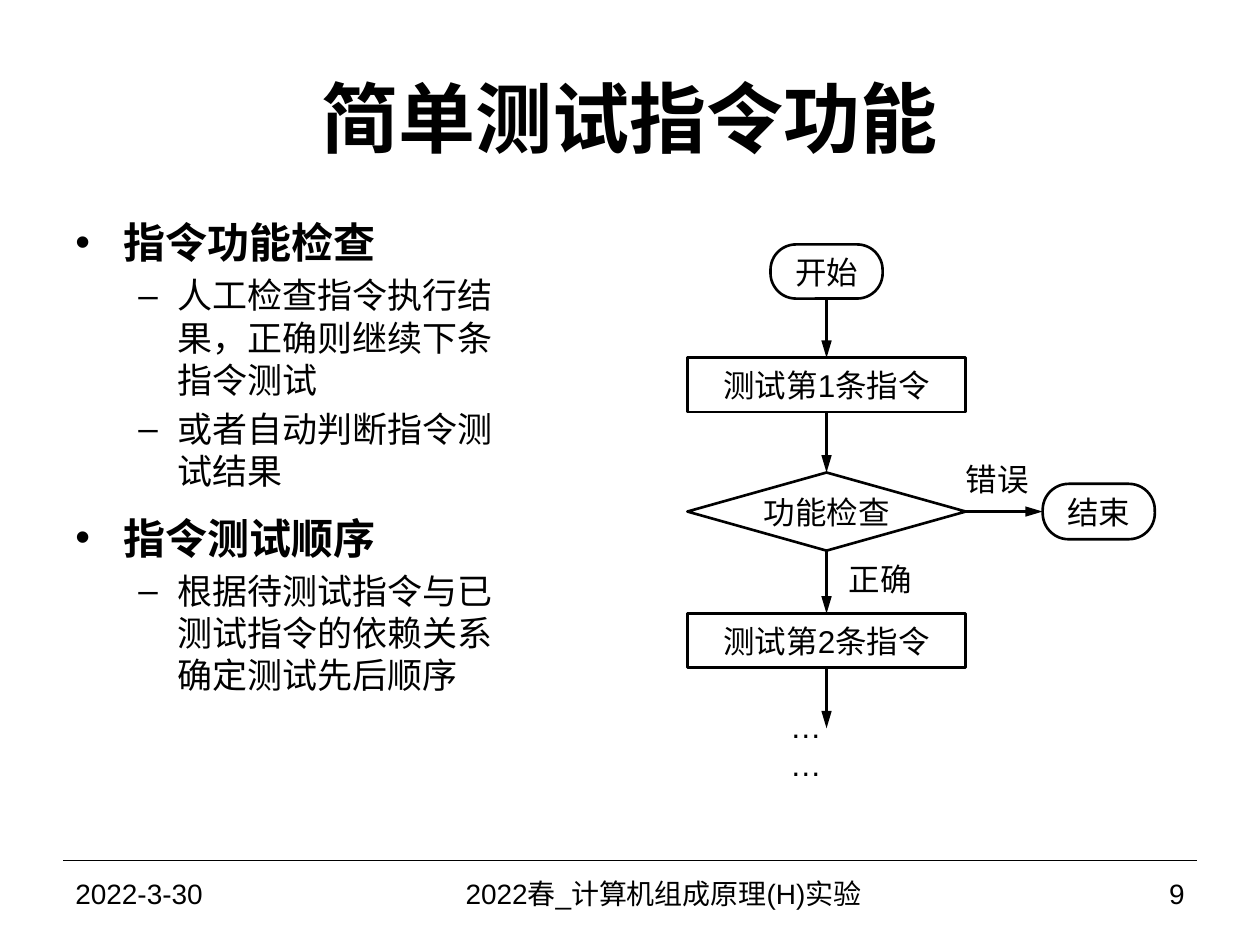
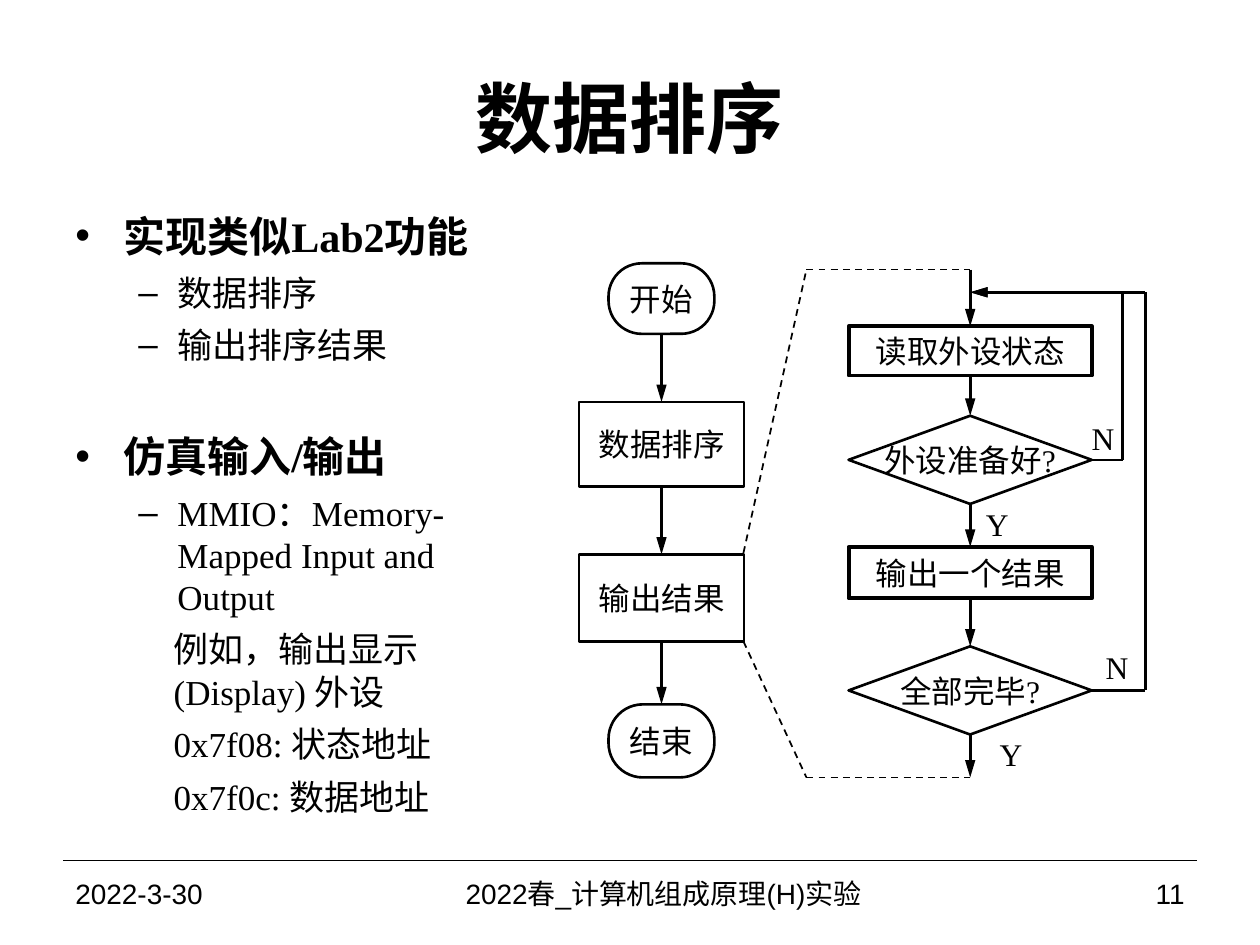
"""Builds two lecture slides that pair bullet notes with flowcharts."""
import itertools

import lxml.etree
import pptx
import pptx.dml.color
import pptx.enum.dml
import pptx.enum.shapes
import pptx.enum.text
import pptx.oxml.ns
import pptx.util

Inches, Pt = pptx.util.Inches, pptx.util.Pt
Align = pptx.enum.text.PP_ALIGN
Preset = pptx.enum.shapes.MSO_SHAPE
qn = pptx.oxml.ns.qn

COLORS = {"ink": "000000", "paper": "FFFFFF"}
HEAD_FONT, BODY_FONT = "Arial", "Times New Roman"
TOP, LEFT, BOTTOM, RIGHT = range(4)
DATE = "2022-3-30"
COURSE = "2022春_计算机组成原理(H)实验 "

NOTE_STYLES = {
    "head": {"size": 24, "bold": True, "margin": 0.38, "indent": -0.38, "bullet": "•", "level": 0},
    "item": {"size": 20, "bold": False, "margin": 0.81, "indent": -0.31, "bullet": "–", "level": 1},
    "plain": {"size": 20, "bold": False, "margin": 0.78, "indent": 0, "bullet": None, "level": 1},
}
NODE_STYLES = {
    "terminal": (Preset.ROUNDED_RECTANGLE, 1.5),
    "step": (Preset.RECTANGLE, 1.5),
    "bold step": (Preset.RECTANGLE, 2.25),
    "decision": (Preset.DIAMOND, 1.5),
}

TEST_X, SORT_X, OUTPUT_X = 6.56, 5.25, 7.7

# Nodes: kind, centre x, top, width, height, text. Notes: style, space before, text.
SLIDES = [
    {
        "title": "简单测试指令功能",
        "number": "9",
        "notes_at": (0.5, 1.67, 3.71, 5.03),
        "notes": [
            ("head", 5, "指令功能检查"),
            ("item", 4, "人工检查指令执行结果，正确则继续下条指令测试"),
            ("item", 4, "或者自动判断指令测试结果"),
            ("head", 12, "指令测试顺序"),
            ("item", 4, "根据待测试指令与已测试指令的依赖关系确定测试先后顺序"),
        ],
        "chart_font": HEAD_FONT,
        "nodes": {
            "start": ("terminal", TEST_X, 1.94, 0.89, 0.43, "开始"),
            "first": ("step", TEST_X, 2.84, 2.21, 0.43, "测试第1条指令"),
            "check": ("decision", TEST_X, 3.75, 2.21, 0.62, "功能检查"),
            "second": ("step", TEST_X, 4.87, 2.21, 0.43, "测试第2条指令"),
            "end": ("terminal", 8.72, 3.84, 0.89, 0.44, "结束"),
        },
        "labels": [
            (7.61, 3.59, 0.61, 0.43, "错误", Align.CENTER),
            (6.68, 4.38, 0.61, 0.43, "正确", Align.CENTER),
            (6.27, 5.76, 0.51, 0.3, "… …", Align.LEFT),
        ],
        "flows": [["start", "first", "check", "second"]],
        "arrows": [
            [("check", RIGHT), ("end", LEFT)],
            [("second", BOTTOM), (TEST_X, 5.78)],
        ],
        "dashes": [],
    },
    {
        "title": "数据排序",
        "number": "11",
        "notes_at": (0.5, 1.62, 3.62, 5.03),
        "notes": [
            ("head", 6, "实现类似Lab2功能"),
            ("item", 6, "数据排序"),
            ("item", 6, "输出排序结果"),
            ("head", 37, "仿真输入/输出"),
            ("item", 6, "MMIO：Memory-Mapped Input and Output"),
            ("plain", 6, "例如，输出显示 (Display) 外设"),
            ("plain", 6, "0x7f08: 状态地址"),
            ("plain", 6, "0x7f0c: 数据地址"),
        ],
        "chart_font": BODY_FONT,
        "nodes": {
            "start": ("terminal", SORT_X, 2.09, 0.84, 0.56, "开始"),
            "sort": ("step", SORT_X, 3.19, 1.31, 0.67, "数据排序"),
            "output": ("step", SORT_X, 4.4, 1.31, 0.69, "输出结果"),
            "end": ("terminal", SORT_X, 5.59, 0.84, 0.58, "结束"),
            "read": ("bold step", OUTPUT_X, 2.59, 1.93, 0.39, "读取外设状态"),
            "ready": ("decision", OUTPUT_X, 3.3, 1.93, 0.7, "外设准备好?"),
            "write": ("bold step", OUTPUT_X, 4.34, 1.93, 0.41, "输出一个结果"),
            "done": ("decision", OUTPUT_X, 5.13, 1.93, 0.7, "全部完毕?"),
        },
        "labels": [
            (8.64, 3.27, 0.23, 0.41, "N", Align.CENTER),
            (8.75, 5.09, 0.23, 0.41, "N", Align.CENTER),
            (7.65, 4.01, 0.53, 0.3, "Y", Align.CENTER),
            (7.76, 5.83, 0.53, 0.3, "Y", Align.CENTER),
        ],
        "flows": [["start", "sort", "output", "end"], ["read", "ready", "write", "done"]],
        "arrows": [
            [(OUTPUT_X, 2.14), ("read", TOP)],
            [("ready", RIGHT), (8.91, 3.65), (8.91, 2.32), (OUTPUT_X, 2.32)],
            [("done", RIGHT), (9.09, 5.48), (9.09, 2.32), (OUTPUT_X, 2.32)],
            [("done", BOTTOM), (OUTPUT_X, 6.17)],
        ],
        "dashes": [
            [(5.9, 4.39), (6.4, 2.14), (OUTPUT_X, 2.14)],
            [(5.9, 5.09), (6.4, 6.17), (OUTPUT_X, 6.17)],
        ],
    },
]


def color(name):
    return pptx.dml.color.RGBColor.from_string(COLORS[name])


def style_font(para, face, size, bold=False):
    para.font.name, para.font.size, para.font.bold = face, Pt(size), bold
    para.font.color.rgb = color("ink")


def write(shape, text, face, size, align=Align.LEFT, bold=False, wrap=True, inset=True):
    frame = shape.text_frame
    frame.word_wrap = wrap
    frame.vertical_anchor = pptx.enum.text.MSO_ANCHOR.MIDDLE
    if not inset:
        frame.margin_left = frame.margin_right = frame.margin_top = frame.margin_bottom = 0
    para = frame.paragraphs[0]
    para.text, para.alignment = text, align
    style_font(para, face, size, bold)


def add_text(page, place, *args, **options):
    write(page.shapes.add_textbox(*map(Inches, place)), *args, **options)


def add_line(page, start, end, nodes, width=1.5, arrow=False, dash=False):
    points = [(0, 0) if point[0] in nodes else point for point in (start, end)]
    line = page.shapes.add_connector(
        pptx.enum.shapes.MSO_CONNECTOR.STRAIGHT, *map(Inches, itertools.chain(*points)))
    for point, connect in ((start, line.begin_connect), (end, line.end_connect)):
        if point[0] in nodes:
            connect(nodes[point[0]], point[1])
    line.line.color.rgb, line.line.width = color("ink"), Pt(width)
    if dash:
        line.line.dash_style = pptx.enum.dml.MSO_LINE.DASH
    if arrow:
        lxml.etree.SubElement(
            line.line._get_or_add_ln(), qn("a:tailEnd"), type="triangle", len="lg")
    lxml.etree.SubElement(line._element.spPr, qn("a:effectLst"))


def add_route(page, points, nodes, arrow=False, **options):
    segments = list(itertools.pairwise(points))
    for index, (start, end) in enumerate(segments, 1):
        add_line(page, start, end, nodes, arrow=arrow and index == len(segments), **options)


def add_frame(page, title, number):
    add_line(page, (0.5, 6.83), (9.5, 6.83), {}, width=0.75)
    add_text(page, (0.5, 0.3, 9, 1.25), title, HEAD_FONT, 44, Align.CENTER, bold=True)
    for left, width, text, align in (
        (0.5, 2.33, DATE, Align.LEFT),
        (2.83, 4.92, COURSE, Align.CENTER),
        (7.75, 1.75, number, Align.RIGHT),
    ):
        add_text(page, (left, 6.83, width, 0.52), text, HEAD_FONT, 16, align)


def add_notes(page, place, notes):
    frame = page.shapes.add_textbox(*map(Inches, place)).text_frame
    frame.word_wrap = True
    for index, (kind, space, text) in enumerate(notes):
        style = NOTE_STYLES[kind]
        para = frame.add_paragraph() if index else frame.paragraphs[0]
        para.text, para.level, para.space_before = text, style["level"], Pt(space)
        properties = para._p.get_or_add_pPr()
        properties.set("marL", str(Inches(style["margin"])))
        properties.set("indent", str(Inches(style["indent"])))
        if style["bullet"]:
            lxml.etree.SubElement(properties, qn("a:buFont"), typeface=HEAD_FONT)
            lxml.etree.SubElement(properties, qn("a:buChar"), char=style["bullet"])
        style_font(para, BODY_FONT, style["size"], style["bold"])


def add_node(page, face, kind, center, top, width, height, text):
    preset, weight = NODE_STYLES[kind]
    node = page.shapes.add_shape(
        preset, *map(Inches, (center - width / 2, top, width, height)))
    if kind == "terminal":
        node.adjustments[0] = 0.47
    node.shadow.inherit = False
    node.fill.background()
    node.line.color.rgb, node.line.width = color("ink"), Pt(weight)
    write(node, text, face, 18, Align.CENTER, wrap=False, inset=False)
    return node


def add_flowchart(page, content):
    face = content["chart_font"]
    nodes = {name: add_node(page, face, *node) for name, node in content["nodes"].items()}
    for *place, text, align in content["labels"]:
        add_text(page, place, text, face, 18, align, inset=False)
    for flow in content["flows"]:
        for upper, lower in itertools.pairwise(flow):
            add_line(page, (upper, BOTTOM), (lower, TOP), nodes, arrow=True)
    for points in content["arrows"]:
        add_route(page, points, nodes, arrow=True)
    for points in content["dashes"]:
        add_route(page, points, nodes, width=1, dash=True)


def main():
    deck = pptx.Presentation()
    deck.slide_width, deck.slide_height = Inches(10), Inches(7.5)
    for content in SLIDES:
        page = deck.slides.add_slide(deck.slide_layouts[6])
        page.background.fill.solid()
        page.background.fill.fore_color.rgb = color("paper")
        add_frame(page, content["title"], content["number"])
        add_notes(page, content["notes_at"], content["notes"])
        add_flowchart(page, content)
    deck.save("out.pptx")


if __name__ == "__main__":
    main()
